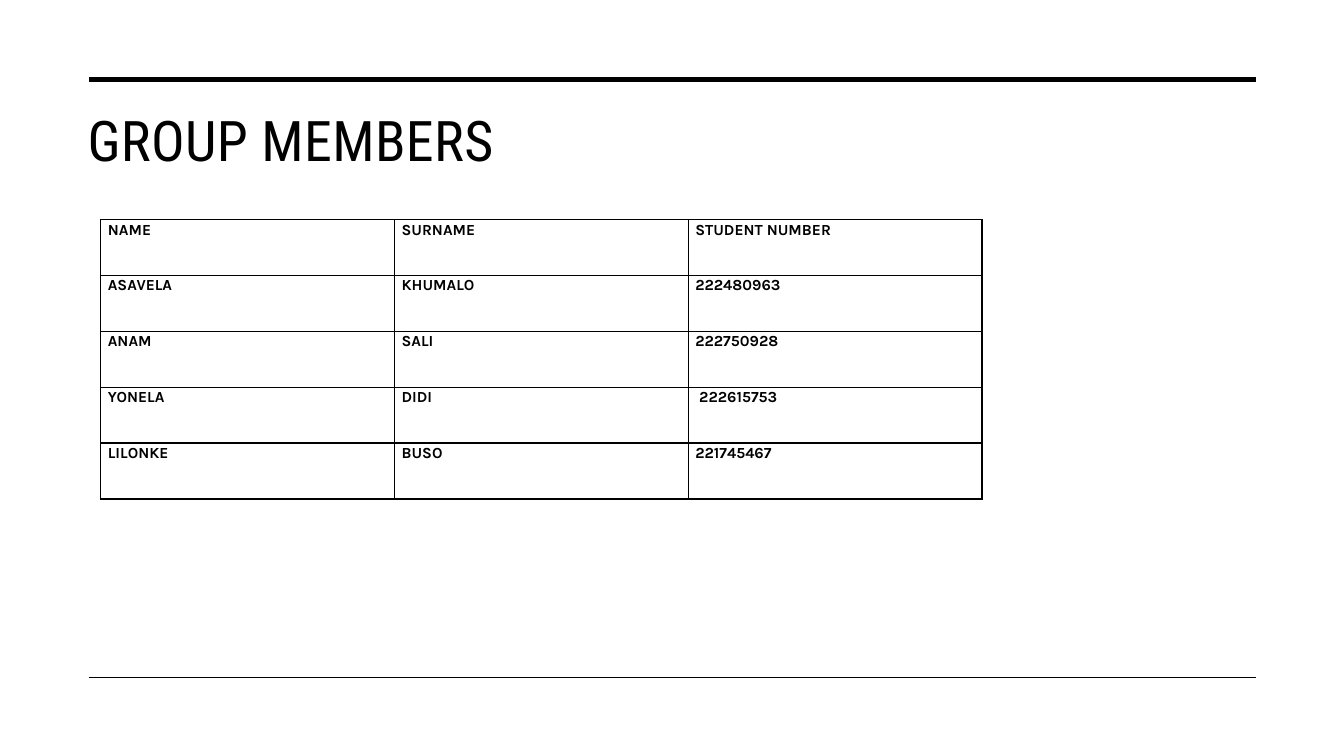
"""Build the group members slide with its title, rules and table."""
from lxml.etree import SubElement
from pptx import Presentation
from pptx.dml.color import RGBColor
from pptx.enum.shapes import MSO_CONNECTOR
from pptx.enum.text import MSO_ANCHOR, PP_ALIGN
from pptx.oxml.ns import qn
from pptx.util import Inches, Pt

BLACK = "000000"
TITLE = "GROUP MEMBERS"
MEMBERS = [
    ("NAME", "SURNAME", "STUDENT NUMBER"),
    ("ASAVELA", "KHUMALO", "222480963"),
    ("ANAM", "SALI", "222750928"),
    ("YONELA", "DIDI", " 222615753"),
    ("LILONKE", "BUSO", "221745467"),
]
RULES = [(0.79, 3.5), (6.72, 1)]
RULE_LEFT, RULE_RIGHT = 0.88, 12.46
TITLE_AREA = (0.77, 1, 11.69, 1.43)
TABLE_AREA = (1, 2.18, 8.74, 2.77)
TITLE_FONT = {"name": "Roboto Condensed", "size": Pt(40), "bold": False}
CELL_FONT = {"name": "Karla", "size": Pt(11), "bold": True}
CELL_PARA = {"line_spacing": 1.07, "space_after": Pt(8), "alignment": PP_ALIGN.LEFT}
CELL_FORMAT = {
    "margin_left": Inches(0.07),
    "margin_right": Inches(0.07),
    "margin_top": 0,
    "margin_bottom": 0,
    "vertical_anchor": MSO_ANCHOR.TOP,
}


def color(value):
    return RGBColor.from_string(value)


def apply(target, values):
    for name, value in values.items():
        setattr(target, name, value)


def write(para, text, font):
    span = para.add_run()
    span.text = text
    apply(span.font, font)
    span.font.color.rgb = color(BLACK)
    return span


def add_rule(page, top, weight):
    rule = page.shapes.add_connector(
        MSO_CONNECTOR.STRAIGHT,
        Inches(RULE_LEFT), Inches(top), Inches(RULE_RIGHT), Inches(top),
    )
    rule.line.color.rgb = color(BLACK)
    rule.line.width = Pt(weight)
    SubElement(rule.element.spPr, qn("a:effectLst"))


def add_title(page):
    box = page.shapes.add_textbox(*map(Inches, TITLE_AREA))
    frame = box.text_frame
    apply(frame, {"word_wrap": True, "vertical_anchor": MSO_ANCHOR.TOP})
    span = write(frame.paragraphs[0], TITLE, TITLE_FONT)
    span.font._element.set("spc", "30")


def add_borders(cell):
    properties = cell._tc.get_or_add_tcPr()
    for side in ("lnL", "lnR", "lnT", "lnB"):
        border = SubElement(properties, qn(f"a:{side}"), w=str(Pt(1)))
        fill = SubElement(border, qn("a:solidFill"))
        SubElement(fill, qn("a:srgbClr"), val=BLACK)


def add_members(page):
    rows, columns = len(MEMBERS), len(MEMBERS[0])
    table = page.shapes.add_table(rows, columns, *map(Inches, TABLE_AREA)).table
    apply(table, {"first_row": False, "horz_banding": False})
    for row, member in enumerate(MEMBERS):
        for column, text in enumerate(member):
            cell = table.cell(row, column)
            apply(cell, CELL_FORMAT)
            add_borders(cell)
            cell.fill.background()
            para = cell.text_frame.paragraphs[0]
            apply(para, CELL_PARA)
            write(para, text, CELL_FONT)


def main():
    deck = Presentation()
    apply(deck, {"slide_width": Inches(13.33), "slide_height": Inches(7.5)})
    page = deck.slides.add_slide(deck.slide_layouts[6])
    for top, weight in RULES:
        add_rule(page, top, weight)
    add_title(page)
    add_members(page)
    deck.save("out.pptx")


if __name__ == "__main__":
    main()
